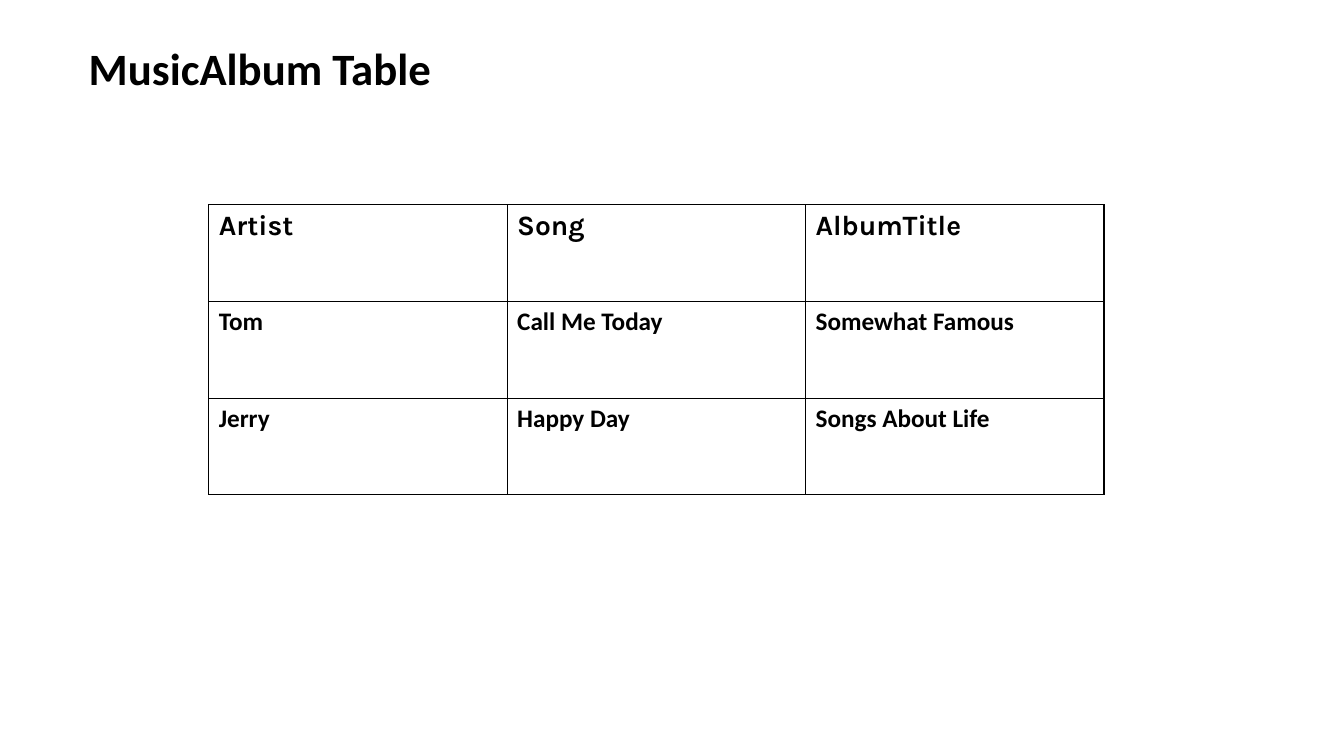
import pptx
import pptx.dml.color
import pptx.enum.text
import pptx.oxml
import pptx.oxml.ns
import pptx.util

Inches = pptx.util.Inches
Pt = pptx.util.Pt
INK, PAPER = "000000", "FFFFFF"
TITLE = {"name": "Calibri", "size": Pt(32), "bold": True}
HEADER = {"name": "Karla", "size": Pt(20), "bold": True}
BODY = {"name": "Calibri", "size": Pt(18), "bold": True}
ROWS = [
    ("Artist", "Song", "AlbumTitle"),
    ("Tom", "Call Me Today", "Somewhat Famous"),
    ("Jerry", "Happy Day", "Songs About Life"),
]


def rgb(value):
    return pptx.dml.color.RGBColor.from_string(value)


class AlbumSlide:
    """Hold the slide and its style, and add each kind of element."""

    def __init__(self, prs):
        self.s = prs.slides.add_slide(prs.slide_layouts[5])
        fill = self.s.background.fill
        fill.solid()
        fill.fore_color.rgb = rgb(PAPER)

    def add_text(self, tf, text, style):
        p = tf.paragraphs[0]
        p.alignment = pptx.enum.text.PP_ALIGN.LEFT
        p.space_before = Pt(0)
        r = p.add_run()
        r.text = text
        for key, value in style.items():
            setattr(r.font, key, value)
        r.font.color.rgb = rgb(INK)
        return p

    def title(self, text, left, top, width, height):
        sp = self.s.shapes.title
        box = {"left": left, "top": top, "width": width, "height": height}
        for key, value in box.items():
            setattr(sp, key, Inches(value))
        tf = sp.text_frame
        tf.word_wrap = True
        tf.auto_size = pptx.enum.text.MSO_AUTO_SIZE.NONE
        tf.vertical_anchor = pptx.enum.text.MSO_ANCHOR.MIDDLE
        self.add_text(tf, text, TITLE).line_spacing = 0.9

    def borders(self, cell):
        tcPr = cell._tc.get_or_add_tcPr()
        for i, side in enumerate(("lnL", "lnR", "lnT", "lnB")):
            tcPr.insert(i, pptx.oxml.parse_xml(
                f'<a:{side} {pptx.oxml.ns.nsdecls("a")} w="{Pt(1)}"><a:solidFill>'
                f'<a:srgbClr val="{INK}"/></a:solidFill></a:{side}>'))

    def table(self, rows, left, top, col_width, row_height):
        n_rows, n_cols = len(rows), len(rows[0])
        table = self.s.shapes.add_table(
            n_rows, n_cols, Inches(left), Inches(top),
            Inches(col_width * n_cols), Inches(row_height * n_rows)).table
        table.horz_banding = False
        for i, row in enumerate(rows):
            for j, text in enumerate(row):
                cell = table.cell(i, j)
                cell.fill.background()
                self.borders(cell)
                self.add_text(cell.text_frame, text, BODY if i else HEADER)


def main():
    prs = pptx.Presentation()
    prs.slide_width, prs.slide_height = Inches(13.33), Inches(7.5)
    slide = AlbumSlide(prs)
    slide.title("MusicAlbum Table", 0.78, 0.35, 5.17, 0.71)
    slide.table(ROWS, 2.07, 2.03, 2.96, 0.96)
    prs.save("out.pptx")


if __name__ == "__main__":
    main()
